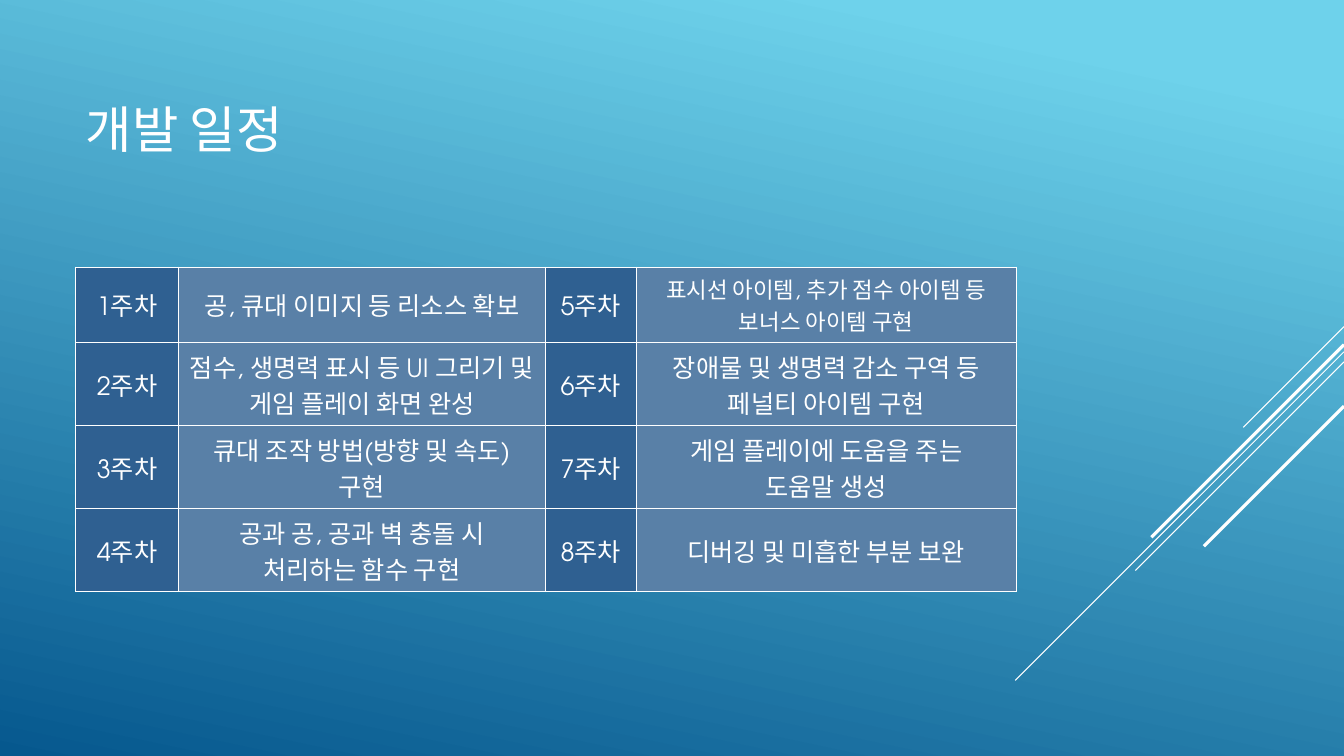
from lxml import etree
from pptx import Presentation
from pptx import util as u
from pptx.dml import color as dml
from pptx.enum import shapes, text
from pptx.oxml import ns

FONT = "TeX Gyre Adventor"
WHITE = "FFFFFF"


def paint(target, hex_color):
    target.rgb = dml.RGBColor.from_string(hex_color)


def write(paragraph, line, size):
    run = paragraph.add_run()
    run.text = line
    run.font.name = FONT
    run.font.size = u.Pt(size)
    paint(run.font.color, WHITE)


prs = Presentation()
prs.slide_width, prs.slide_height = u.Inches(13.33), u.Inches(7.5)
slide = prs.slides.add_slide(prs.slide_layouts[5])

backdrop = slide.background.fill
backdrop.gradient()
backdrop.gradient_angle = 360 - 102
for stop, (position, shade) in zip(backdrop.gradient_stops, [(0.1, "6ED2EB"), (1, "06588E")]):
    stop.position = position
    paint(stop.color, shade)

RIGHT_EDGE = 13.33
for top, reach, weight in [
    (3.24, 1.0, 0.75),
    (3.49, 3.26, 0.75),
    (3.59, 2.07, 0.75),
    (3.42, 1.91, 2.25),
    (4.03, 1.39, 2.25),
]:
    ray = slide.shapes.add_connector(
        shapes.MSO_CONNECTOR.STRAIGHT,
        u.Inches(RIGHT_EDGE), u.Inches(top),
        u.Inches(RIGHT_EDGE - reach), u.Inches(top + reach),
    )
    paint(ray.line.color, WHITE)
    ray.line.width = u.Pt(weight)
    etree.SubElement(ray._element.spPr, ns.qn("a:effectLst"))

title = slide.shapes.title
title.left, title.top = u.Inches(0.75), u.Inches(0.76)
title.width, title.height = u.Inches(9.33), u.Inches(1.03)
title.text_frame.vertical_anchor = text.MSO_ANCHOR.MIDDLE
heading = title.text_frame.paragraphs[0]
heading.alignment = text.PP_ALIGN.LEFT
write(heading, "개발 일정", 36)

tasks = [
    ["공, 큐대 이미지 등 리소스 확보"],
    ["점수, 생명력 표시 등 UI 그리기 및 게임 플레이 화면 완성"],
    ["큐대 조작 방법(방향 및 속도)", "구현"],
    ["공과 공, 공과 벽 충돌 시", "처리하는 함수 구현"],
    ["표시선 아이템, 추가 점수 아이템 등", "보너스 아이템 구현"],
    ["장애물 및 생명력 감소 구역 등", "페널티 아이템 구현"],
    ["게임 플레이에 도움을 주는", "도움말 생성"],
    ["디버깅 및 미흡한 부분 보완"],
]
WEEKS_PER_COLUMN = 4
schedule = slide.shapes.add_table(
    WEEKS_PER_COLUMN, 4, u.Inches(0.75), u.Inches(2.65), u.Inches(9.33), u.Inches(3)
).table
for column, width in zip(schedule.columns, [1.02, 3.64, 0.9, 3.77]):
    column.width = u.Inches(width)

for index, task in enumerate(tasks):
    half, row = divmod(index, WEEKS_PER_COLUMN)
    week = index + 1
    task_size = 16 if week == 5 else 18
    entries = [([f"{week}주차"], 18, "2F6091"), (task, task_size, "5980A7")]
    for offset, (lines, size, shade) in enumerate(entries):
        cell = schedule.cell(row, 2 * half + offset)
        cell.vertical_anchor = text.MSO_ANCHOR.MIDDLE
        cell.fill.solid()
        paint(cell.fill.fore_color, shade)
        for number, line in enumerate(lines):
            frame = cell.text_frame
            paragraph = frame.add_paragraph() if number else frame.paragraphs[0]
            paragraph.alignment = text.PP_ALIGN.CENTER
            write(paragraph, line, size)
        properties = cell._tc.get_or_add_tcPr()
        for place, side in enumerate(["lnL", "lnR", "lnT", "lnB"]):
            border = etree.Element(ns.qn(f"a:{side}"), w=str(u.Pt(1)))
            solid = etree.SubElement(border, ns.qn("a:solidFill"))
            etree.SubElement(solid, ns.qn("a:srgbClr"), val=WHITE)
            properties.insert(place, border)

prs.save("out.pptx")
